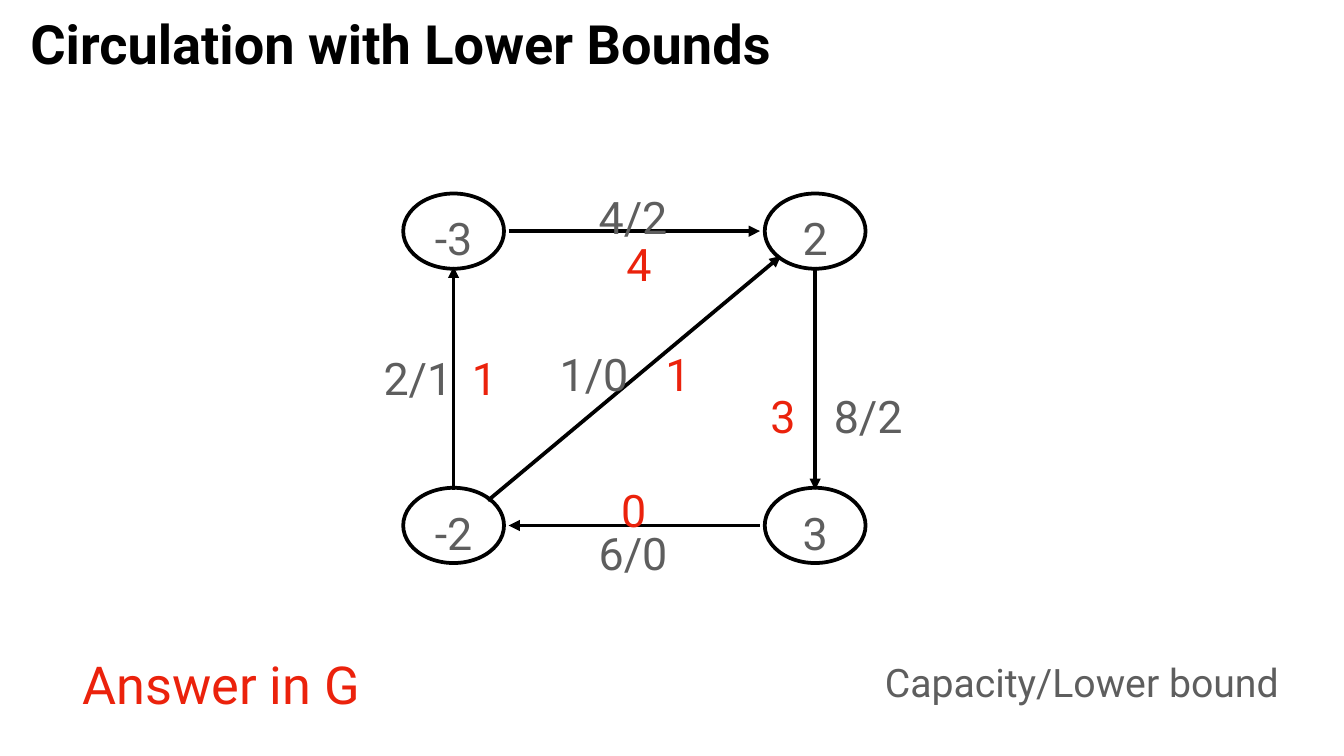
"""Builds a slide showing a circulation graph with lower bounds and its answer."""
from lxml import etree
from pptx import Presentation
from pptx.dml.color import RGBColor
from pptx.enum.shapes import MSO_CONNECTOR, MSO_SHAPE
from pptx.enum.text import MSO_ANCHOR, MSO_AUTO_SIZE, PP_ALIGN
from pptx.oxml.ns import qn
from pptx.util import Pt

STRAIGHT = MSO_CONNECTOR.STRAIGHT
ELLIPSE = MSO_SHAPE.OVAL
MIDDLE = MSO_ANCHOR.MIDDLE
NO_FIT = MSO_AUTO_SIZE.NONE
LEFT, CENTER = PP_ALIGN.LEFT, PP_ALIGN.CENTER

TITLE = "Circulation with Lower Bounds"
TITLE_PLACE = (37, 27, 1256, 92)
COLUMNS, ROWS = (675, 1213), (344, 782)
NODES = {"-3": (0, 0), "-2": (0, 1), "2": (1, 0), "3": (1, 1)}
EDGES = [
    {"ends": ("-3", "2"), "bound": ("4/2", 942, 322), "flow": ("4", 951, 392)},
    {"ends": ("-2", "2"), "bound": ("1/0", 884, 556), "flow": ("1", 1009, 556)},
    {"ends": ("-2", "-3"), "bound": ("2/1", 622, 562), "flow": ("1", 721, 562)},
    {"ends": ("2", "3"), "bound": ("8/2", 1292, 618), "flow": ("3", 1165, 618)},
    {"ends": ("3", "-2"), "bound": ("6/0", 942, 822), "flow": ("0", 943, 758)},
]
CAPTIONS = [
    ("Answer in G", (92, 964, 474, 108), "answer"),
    ("Capacity/Lower bound", (1272, 972, 676, 86), "legend"),
]

THEME = {
    "font": "Roboto",
    "line": "000000",
    "line_width": 2,
    "title": {"size": 29, "color": "000000", "bold": True},
    "bound": {"size": 24, "color": "5E5E5E", "bold": False},
    "flow": {"size": 24, "color": "EB220C", "bold": False},
    "answer": {"size": 28, "color": "EB220C", "bold": False},
    "legend": {"size": 21, "color": "5E5E5E", "bold": False},
}
PX = 4572
SLIDE_SIZE = (2000, 1125)
NODE_SIZE = (150, 112)
LABEL_WIDTHS = {1: 58, 2: 88, 3: 124}
LABEL_HEIGHT = 96
NODE_LABEL_DROP = 10
MARGIN = 8
REACH = {(1, 0): (82, 0), (0, 1): (0, 53), (1, 1): (51, 37)}


def emu(*lengths):
    return [length * PX for length in lengths]


def centered(x, y, width, height):
    return x - width // 2, y - height // 2, width, height


def write(box, text, style, align=CENTER, spacing=1.0):
    frame = box.text_frame
    settings = {"word_wrap": False, "auto_size": NO_FIT, "vertical_anchor": MIDDLE}
    settings.update({f"margin_{side}": MARGIN * PX for side in ("left", "right", "top", "bottom")})
    for name, value in settings.items():
        setattr(frame, name, value)
    para = frame.paragraphs[0]
    para.alignment, para.line_spacing = align, spacing
    span = para.add_run()
    span.text = text
    look = THEME[style]
    formats = {"name": THEME["font"], "size": Pt(look["size"]), "bold": look["bold"]}
    for name, value in formats.items():
        setattr(span.font, name, value)
    span.font.color.rgb = RGBColor.from_string(look["color"])


def add_text(page, text, place, style):
    write(page.shapes.add_textbox(*emu(*place)), text, style)


def add_label(page, text, x, y, style):
    add_text(page, text, centered(x, y, LABEL_WIDTHS[len(text)], LABEL_HEIGHT), style)


def draw_line(line):
    line.color.rgb = RGBColor.from_string(THEME["line"])
    line.width = Pt(THEME["line_width"])


def node_center(name):
    column, row = NODES[name]
    return COLUMNS[column], ROWS[row]


def add_node(page, name):
    x, y = node_center(name)
    node = page.shapes.add_shape(ELLIPSE, *emu(*centered(x, y, *NODE_SIZE)))
    node.shadow.inherit = False
    node.fill.background()
    draw_line(node.line)
    add_label(page, name, x, y + NODE_LABEL_DROP, "bound")


def add_arrow(page, start, end):
    steps = [b - a for a, b in zip(NODES[start], NODES[end])]
    reach = REACH[tuple(abs(step) for step in steps)]
    shift = [step * length for step, length in zip(steps, reach)]
    tail = [c + s for c, s in zip(node_center(start), shift)]
    head = [c - s for c, s in zip(node_center(end), shift)]
    arrow = page.shapes.add_connector(STRAIGHT, *emu(*tail, *head))
    draw_line(arrow.line)
    properties = arrow.element.find(qn("p:spPr"))
    etree.SubElement(properties.find(qn("a:ln")), qn("a:tailEnd"), type="triangle")
    etree.SubElement(properties, qn("a:effectLst"))


def main():
    deck = Presentation()
    deck.slide_width, deck.slide_height = emu(*SLIDE_SIZE)
    page = deck.slides.add_slide(deck.slide_layouts[5])
    title = page.shapes.title
    title.left, title.top, title.width, title.height = emu(*TITLE_PLACE)
    write(title, TITLE, "title", LEFT, 0.8)
    for name in NODES:
        add_node(page, name)
    for edge in EDGES:
        add_arrow(page, *edge["ends"])
    for style in ("bound", "flow"):
        for edge in EDGES:
            add_label(page, *edge[style], style)
    for text, place, style in CAPTIONS:
        add_text(page, text, place, style)
    deck.save("out.pptx")


if __name__ == "__main__":
    main()
